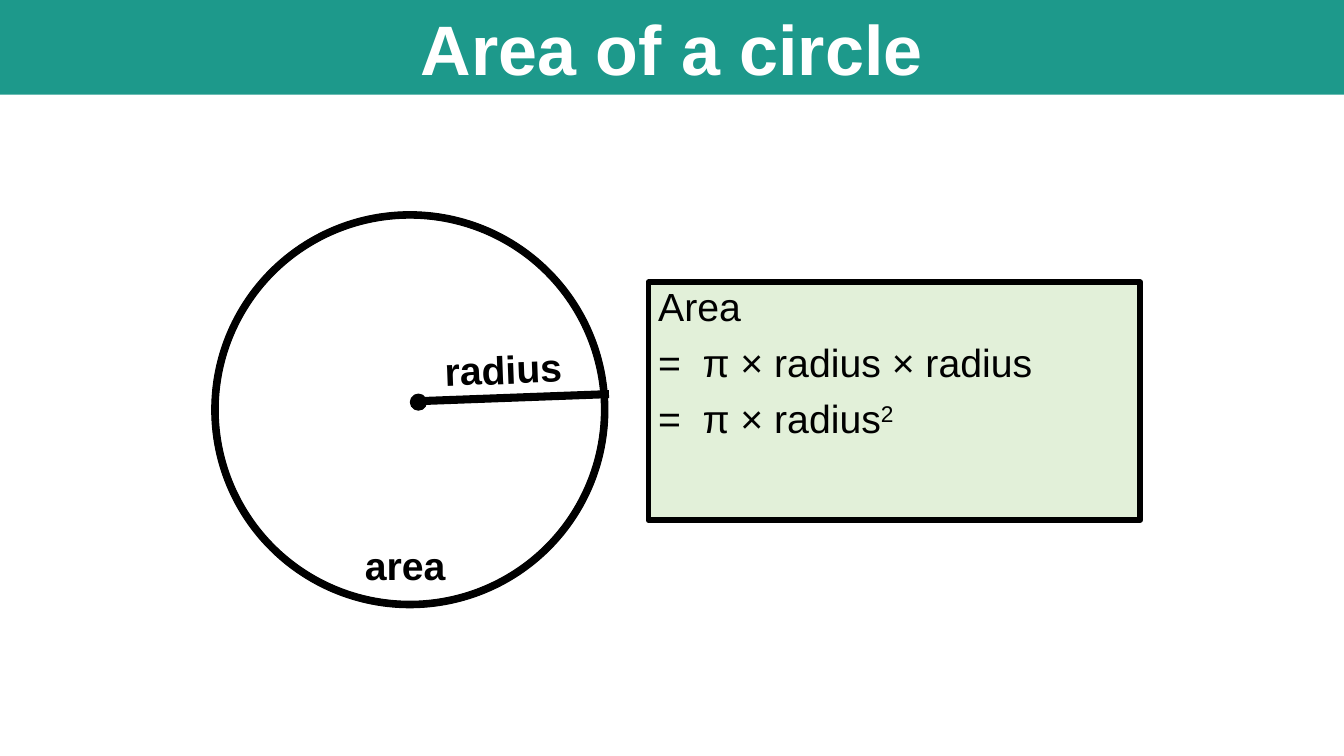
from dataclasses import dataclass

from pptx import Presentation
from pptx.dml.color import RGBColor
from pptx.enum.shapes import MSO_CONNECTOR, MSO_SHAPE
from pptx.enum.text import MSO_ANCHOR, PP_ALIGN
from pptx.oxml.ns import qn
from pptx.util import Emu, Pt
from lxml.etree import SubElement

PX = 9144  # 100 px to the inch
W, H = 1333, 750
FONT = "Arial"
BLACK, WHITE, TEAL, PALE_GREEN = "000000", "FFFFFF", "1D998B", "E2F0D9"


@dataclass
class Box:
    kind: MSO_SHAPE
    x: int
    y: int
    w: int
    h: int
    fill: str
    line_pt: float = 0


@dataclass
class Label:
    text: str
    x: int
    y: int
    w: int
    h: int
    rotation: float = 0


BANNER = Box(MSO_SHAPE.RECTANGLE, 0, 0, W, 94, TEAL)
FORMULA = Box(MSO_SHAPE.RECTANGLE, 643, 280, 488, 236, PALE_GREEN, 4)
RING = Box(MSO_SHAPE.DONUT, 210, 210, 393, 393, BLACK, 0.75)
CENTRE = Box(MSO_SHAPE.FLOWCHART_CONNECTOR, 407, 391, 16, 16, BLACK, 0.75)
RING_WIDTH = 6.5
RADIUS = (415, 398, 604, 391)
LABELS = [
    Label("radius", 431, 336, 212, 57, 357.9),
    Label("area", 352, 532, 291, 57),
]
FORMULA_LINES = ["Area", "=\tπ × radius × radius", "=\tπ × radius"]
HANGING = 44


def px(n: float) -> Emu:
    return Emu(round(n * PX))


def rgb(value: str) -> RGBColor:
    return RGBColor.from_string(value)


def style(font, size: int, color: str = BLACK, bold: bool = False) -> None:
    font.name, font.size, font.bold = FONT, Pt(size), bold
    font.color.rgb = rgb(color)


def add_box(slide, box: Box):
    sp = slide.shapes.add_shape(box.kind, px(box.x), px(box.y), px(box.w), px(box.h))
    sp.shadow.inherit = False
    sp.fill.solid()
    sp.fill.fore_color.rgb = rgb(box.fill)
    if box.line_pt:
        sp.line.color.rgb = rgb(BLACK)
        sp.line.width = Pt(box.line_pt)
    else:
        sp.line.fill.background()
    return sp


def add_label(slide, label: Label) -> None:
    sp = slide.shapes.add_textbox(px(label.x), px(label.y), px(label.w), px(label.h))
    sp.rotation = label.rotation
    tf = sp.text_frame
    tf.word_wrap = True
    tf.text = label.text
    style(tf.paragraphs[0].runs[0].font, 28, bold=True)


def add_radius(slide) -> None:
    line = slide.shapes.add_connector(MSO_CONNECTOR.STRAIGHT, *map(px, RADIUS))
    line.line.color.rgb = rgb(BLACK)
    line.line.width = Pt(5.75)
    SubElement(line._element.spPr, qn("a:effectLst"))


def add_formula(slide) -> None:
    tf = add_box(slide, FORMULA).text_frame
    tf.vertical_anchor = MSO_ANCHOR.TOP
    tf.text = "\n".join(FORMULA_LINES)
    for i, p in enumerate(tf.paragraphs):
        p.alignment = PP_ALIGN.LEFT
        p.line_spacing = 0.9
        p.space_before = Pt(10 if i else 0)
        # Hanging indent lines up the text after each equals sign
        pPr = p._p.get_or_add_pPr()
        pPr.set("marL", str(px(HANGING)))
        pPr.set("indent", str(-px(HANGING)))
    square = tf.paragraphs[-1].add_run()
    square.text = "2"
    for p in tf.paragraphs:
        for r in p.runs:
            style(r.font, 28)
    square.font._element.set("baseline", "30000")


def add_title(slide) -> None:
    tf = add_box(slide, BANNER).text_frame
    tf.vertical_anchor = MSO_ANCHOR.MIDDLE
    tf.text = "Area of a circle"
    p = tf.paragraphs[0]
    p.alignment = PP_ALIGN.CENTER
    style(p.runs[0].font, 50, WHITE, bold=True)


def main() -> None:
    prs = Presentation()
    prs.slide_width, prs.slide_height = px(W), px(H)
    slide = prs.slides.add_slide(prs.slide_layouts[6])

    # Formula panel
    add_formula(slide)

    # Circle with its radius
    ring = add_box(slide, RING)
    ring.adjustments[0] = RING_WIDTH / RING.w
    add_radius(slide)
    for label in LABELS:
        add_label(slide, label)
    add_box(slide, CENTRE)

    # Title banner
    add_title(slide)
    prs.save("out.pptx")


if __name__ == "__main__":
    main()
